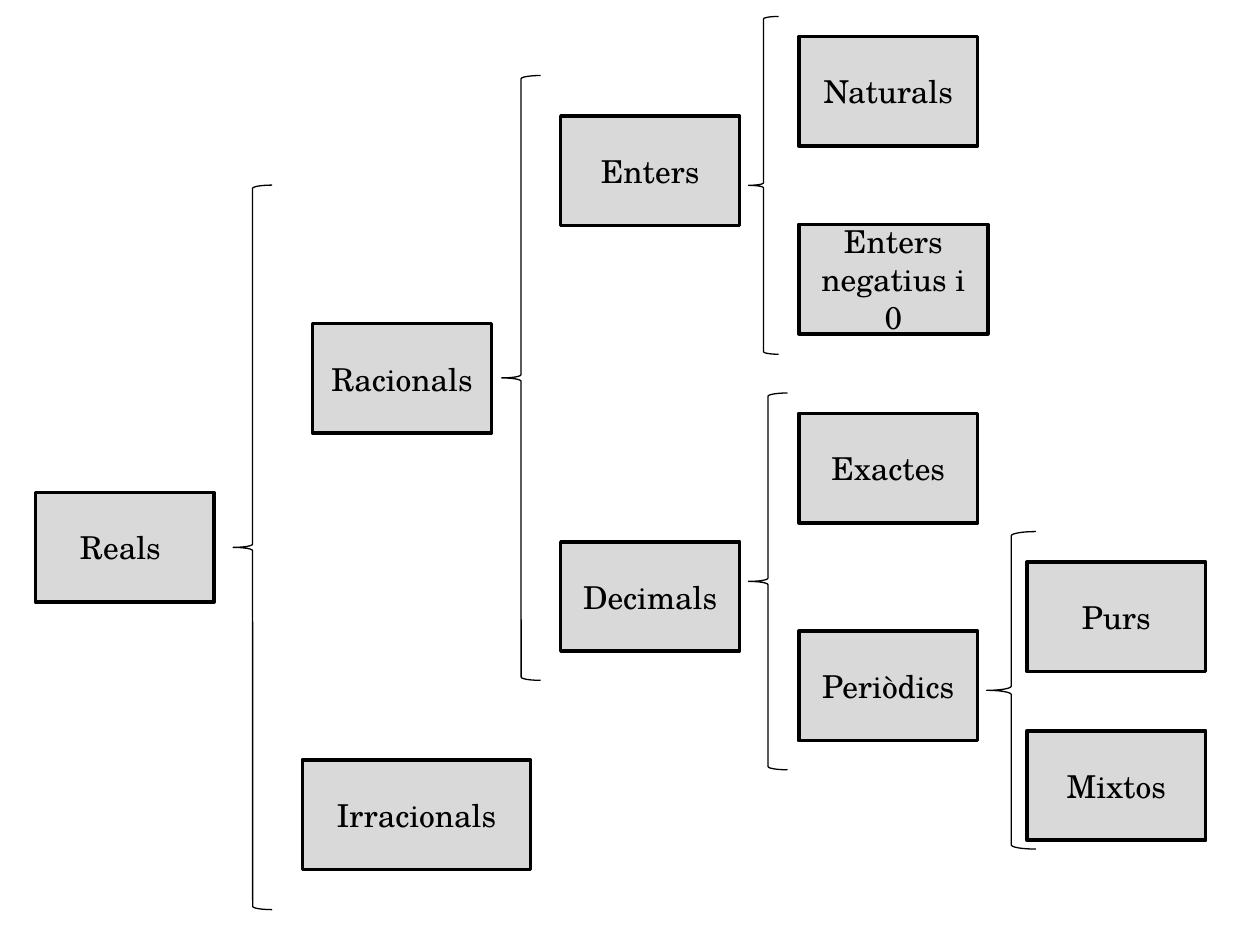
from dataclasses import dataclass

from pptx import Presentation
from pptx.dml.color import RGBColor
from pptx.enum.shapes import MSO_SHAPE as Preset
from pptx.enum.text import MSO_ANCHOR as Anchor, PP_ALIGN as Align
from pptx.slide import Slide
from pptx.util import Pt

BLACK = RGBColor(0x00, 0x00, 0x00)
GREY = RGBColor(0xD9, 0xD9, 0xD9)

BOX_WIDTH, BOX_HEIGHT = 102.2, 62.6


@dataclass
class Diagram:
    page: Slide
    font: str = "TeX Gyre Schola"
    size: float = 18

    def outline(self, preset, left, top, width, height, weight):
        shape = self.page.shapes.add_shape(
            preset, Pt(left), Pt(top), Pt(width), Pt(height))
        shape.shadow.inherit = False
        shape.line.color.rgb = BLACK
        shape.line.width = Pt(weight)
        return shape

    def box(self, text, left, top, width=BOX_WIDTH):
        box = self.outline(Preset.RECTANGLE, left, top, width, BOX_HEIGHT, 2)
        box.fill.solid()
        box.fill.fore_color.rgb = GREY
        frame = box.text_frame
        frame.word_wrap = True
        frame.vertical_anchor = Anchor.MIDDLE
        para = frame.paragraphs[0]
        para.text = text
        para.alignment = Align.CENTER
        para.font.name = self.font
        para.font.size = Pt(self.size)
        para.font.color.rgb = BLACK

    def brace(self, left, top, width, height):
        brace = self.outline(Preset.LEFT_BRACE, left, top, width, height, 0.75)
        brace.fill.background()


deck = Presentation()
deck.slide_width, deck.slide_height = Pt(720), Pt(540)
diagram = Diagram(deck.slides.add_slide(deck.slide_layouts[6]))

# Number sets: text, left, top and, where wider, width
COLUMN_3, COLUMN_4, COLUMN_5 = 320.4, 456.5, 586.8
number_sets = [
    ("Reals ", 20.2, 281.5),
    ("Racionals", 178.6, 185),
    ("Irracionals", 172.8, 434.2, 130.3),
    ("Enters", COLUMN_3, 66.2),
    ("Naturals", COLUMN_4, 20.9),
    ("Enters negatius i 0", COLUMN_4, 128.2, 108),
    ("Decimals", COLUMN_3, 309.6),
    ("Exactes", COLUMN_4, 236.2),
    ("Periòdics", COLUMN_4, 360.7),
    ("Purs", COLUMN_5, 321.1),
    ("Mixtos", COLUMN_5, 417.6),
]
for number_set in number_sets:
    diagram.box(*number_set)

# Braces that open each set: left, top, width, height
braces = [
    (133.2, 105.8, 22.3, 414),    # Reals
    (286.6, 43.2, 22.3, 345.6),   # Racionals
    (427.7, 9.4, 17.3, 193),      # Enters
    (427.7, 224.6, 22.3, 215.3),  # Decimals
    (563.8, 303.8, 28.1, 181.4),  # Periòdics
]
for brace in braces:
    diagram.brace(*brace)

deck.save("out.pptx")
